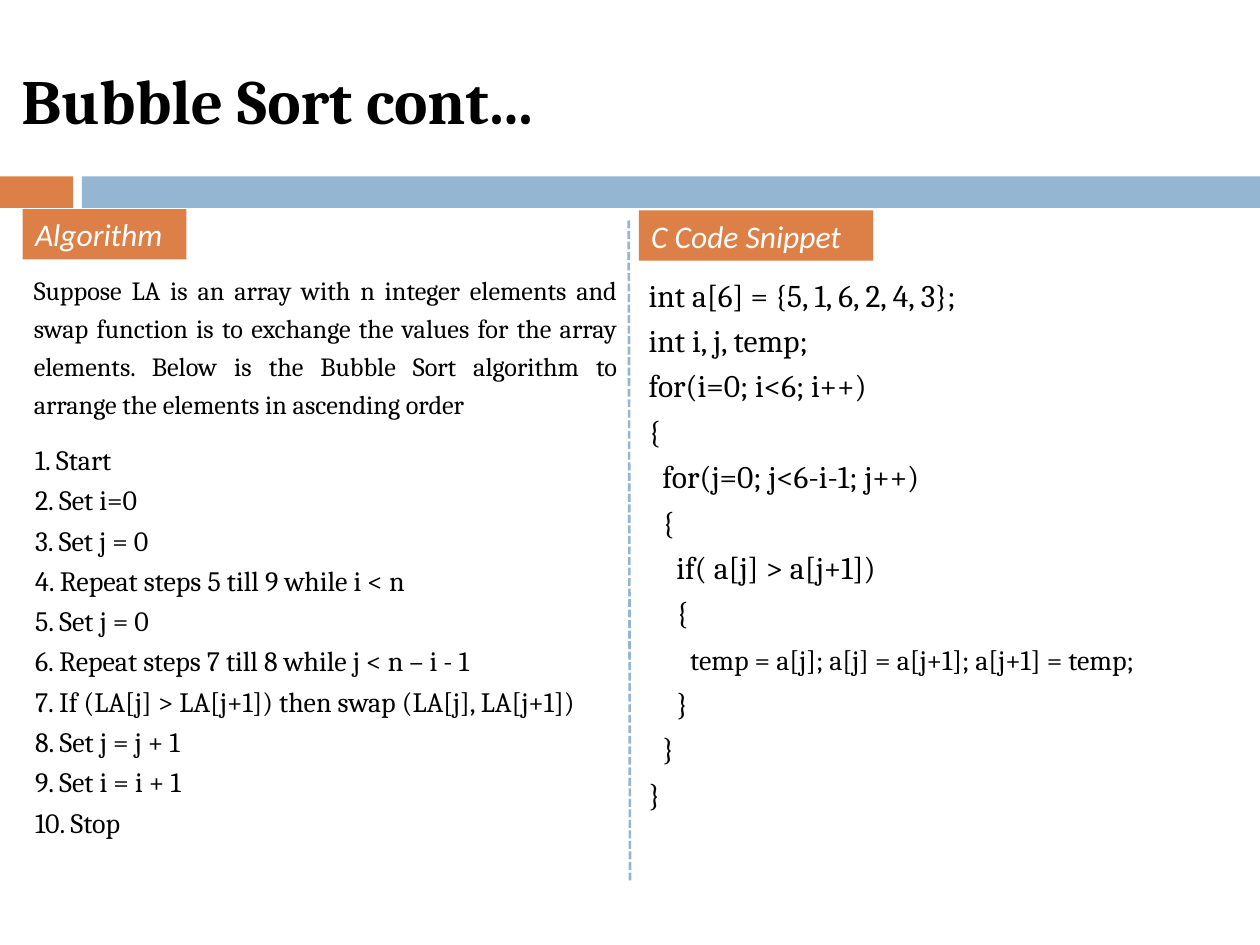
from lxml import etree
from pptx import Presentation
from pptx import util as u
from pptx.dml.color import RGBColor
from pptx.enum import dml, shapes, text
from pptx.oxml.ns import qn

ORANGE = RGBColor(0xDD, 0x80, 0x47)
BLUE = RGBColor(0x94, 0xB6, 0xD2)
BLACK = RGBColor(0, 0, 0)
WHITE = RGBColor(0xFF, 0xFF, 0xFF)

INTRODUCTION = [
    "Suppose LA is an array with n integer elements and swap function is to "
    "exchange the values for the array elements. Below is the Bubble Sort "
    "algorithm to arrange the elements in ascending order"
]
STEPS = [
    "1. Start",
    "2. Set i=0",
    "3. Set j = 0",
    "4. Repeat steps 5 till 9 while i < n",
    "5. Set j = 0",
    "6. Repeat steps 7 till 8 while j < n – i - 1",
    "7. If (LA[j] > LA[j+1]) then swap (LA[j], LA[j+1])",
    "8. Set j = j + 1",
    "9. Set i = i + 1",
    "10. Stop",
]
CODE = [
    "int a[6] = {5, 1, 6, 2, 4, 3};",
    "int i, j, temp;",
    "for(i=0; i<6; i++)",
    "{",
    "  for(j=0; j<6-i-1; j++)",
    "  {",
    "    if( a[j] > a[j+1])",
    "    {",
    "      temp = a[j]; a[j] = a[j+1]; a[j+1] = temp;",
    "    }",
    "  }",
    "}",
]
SWAP_LINE = 8


class SlideBuilder:
    """Holds the slide and the text styles used on it."""

    TITLE = {"name": "Cambria", "size": u.Pt(36), "bold": True}
    BODY = {"name": "Cambria"}
    LABEL = {"name": "Calibri", "size": u.Pt(18), "italic": True}

    def __init__(self, presentation):
        self.slide = presentation.slides.add_slide(presentation.slide_layouts[5])

    def style(self, font, values, color):
        for name, value in values.items():
            setattr(font, name, value)
        font.color.rgb = color

    def title(self, words, *box):
        title = self.slide.shapes.title
        title.left, title.top, title.width, title.height = map(u.Inches, box)
        title.text_frame.vertical_anchor = text.MSO_ANCHOR.MIDDLE
        paragraph = title.text_frame.paragraphs[0]
        paragraph.text = words
        paragraph.alignment = text.PP_ALIGN.LEFT
        self.style(paragraph.runs[0].font, self.TITLE, BLACK)

    def bar(self, color, *box):
        shape = self.slide.shapes.add_shape(
            shapes.MSO_SHAPE.RECTANGLE, *map(u.Inches, box))
        shape.shadow.inherit = False
        shape.fill.solid()
        shape.fill.fore_color.rgb = color
        shape.line.fill.background()
        return shape

    def label(self, words, *box):
        frame = self.bar(ORANGE, *box).text_frame
        frame.word_wrap = False
        paragraph = frame.paragraphs[0]
        paragraph.text = words
        paragraph.alignment = text.PP_ALIGN.LEFT
        self.style(paragraph.runs[0].font, self.LABEL, WHITE)

    def text_box(self, lines, size, *box):
        frame = self.slide.shapes.add_textbox(*map(u.Inches, box)).text_frame
        frame.word_wrap = True
        for index, line in enumerate(lines):
            paragraph = frame.add_paragraph() if index else frame.paragraphs[0]
            paragraph.alignment = text.PP_ALIGN.JUSTIFY
            paragraph.line_spacing = 1.2
            run = paragraph.add_run()
            run.text = line
            self.style(run.font, {**self.BODY, "size": u.Pt(size)}, BLACK)
        return frame

    def shrink_after_indent(self, paragraph, size):
        """Set the words of a code line smaller, leaving its indent as it is."""
        indent = paragraph.runs[0]
        line = indent.text
        words = paragraph.add_run()
        words.text = line.lstrip()
        indent.text = line[:-len(words.text)]
        self.style(words.font, {**self.BODY, "size": u.Pt(size)}, BLACK)

    def dashed_line(self, *ends):
        line = self.slide.shapes.add_connector(
            shapes.MSO_CONNECTOR.STRAIGHT, *map(u.Inches, ends))
        line.line.color.rgb = BLUE
        line.line.width = u.Pt(1.5)
        line.line.dash_style = dml.MSO_LINE.SQUARE_DOT
        properties = line._element.spPr
        etree.SubElement(properties, qn("a:effectLst"))


def main():
    presentation = Presentation()
    presentation.slide_width = u.Inches(10)
    presentation.slide_height = u.Inches(7.5)

    builder = SlideBuilder(presentation)
    builder.bar(ORANGE, 0, 1.4, 0.58, 0.25)
    builder.bar(BLUE, 0.65, 1.4, 9.35, 0.25)
    builder.title("Bubble Sort cont...", 0.07, 0.25, 8.92, 1.08)

    builder.text_box(INTRODUCTION, 15, 0.17, 2.08, 4.83, 1.3)
    builder.text_box(STEPS, 16, 0.18, 3.41, 4.82, 3.62)
    builder.label("Algorithm", 0.18, 1.66, 1.3, 0.4)

    code = builder.text_box(CODE, 18, 5.05, 2.08, 4.74, 4.78)
    builder.shrink_after_indent(code.paragraphs[SWAP_LINE], 16)
    builder.label("C Code Snippet", 5.07, 1.67, 1.86, 0.4)
    builder.dashed_line(4.99, 1.75, 5, 7)

    presentation.save("out.pptx")


if __name__ == "__main__":
    main()
